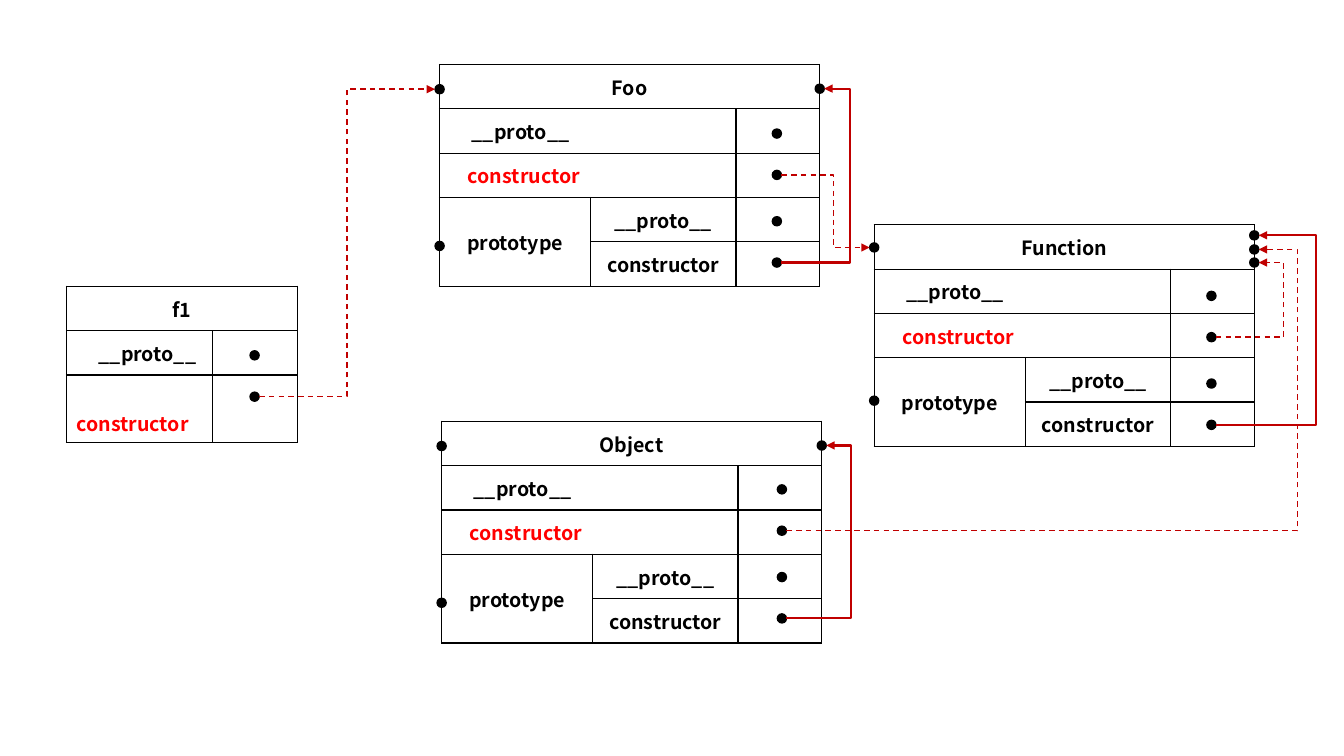
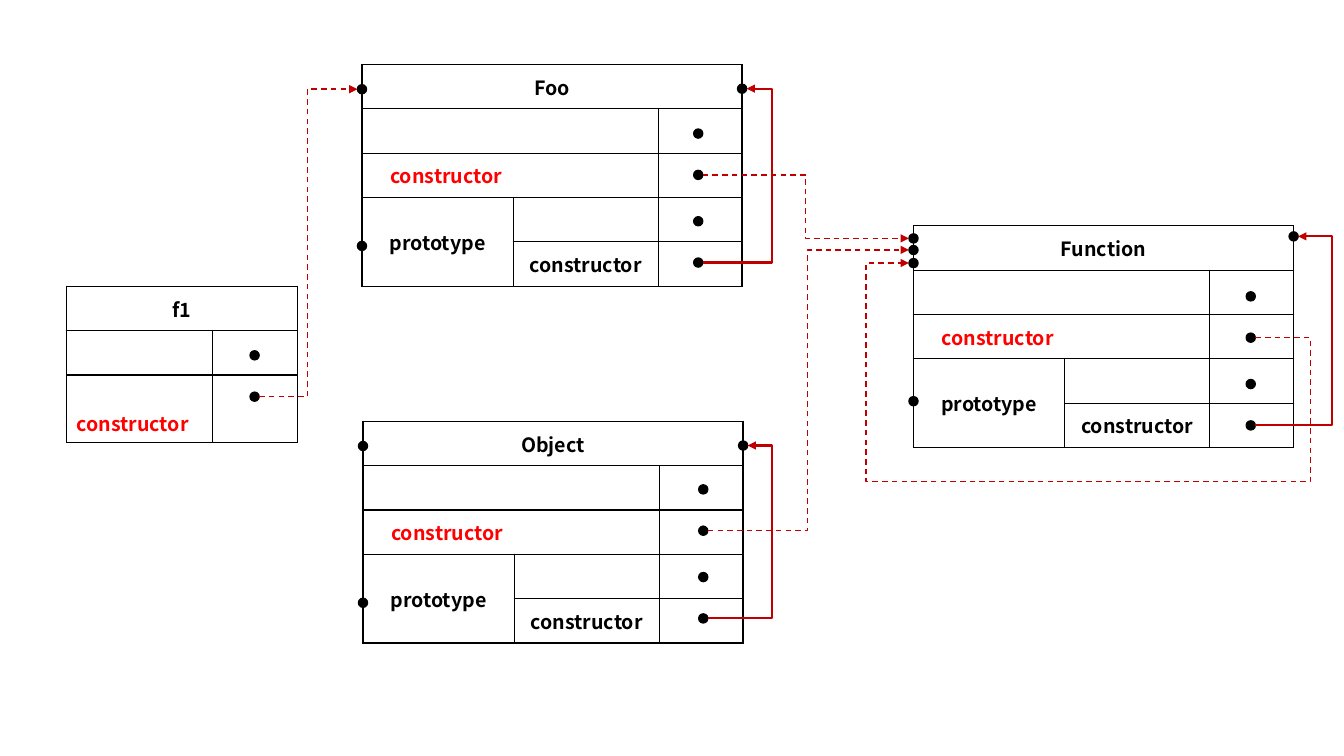
from dataclasses import dataclass

from lxml.etree import SubElement
from pptx import Presentation
from pptx.dml.color import RGBColor as RGB
from pptx.enum.dml import MSO_LINE_DASH_STYLE as DASH
from pptx.enum.shapes import MSO_CONNECTOR as CONN, MSO_SHAPE as SHAPE
from pptx.enum.text import MSO_ANCHOR as ANCHOR, PP_ALIGN as ALIGN
from pptx.oxml.ns import qn
from pptx.util import Inches, Pt

WIDTH, HEIGHT = 13.33, 7.5
ROW = 0.44
CLASS_COLS, CLASS_ROWS = (1.5, 1.44, 0.83), (ROW,) * 5
OBJECT_COLS, OBJECT_ROWS = (1.45, 0.84), (ROW, ROW, 0.67)
PIN_STEPS = (0, 0.41, 0.87, 1.28)
DOT = 0.09


@dataclass(frozen=True)
class Theme:
    """Colours, font and sizes of both slides."""
    font: str = "Noto Sans CJK SC"
    size: int = 14
    ink: str = "000000"
    key: str = "FF0000"
    wire: str = "C00000"
    border: float = 1
    solid: float = 1.5
    dashed: float = 1


T = Theme()
HEAD = {"align": ALIGN.CENTER}
PROTO = {"indent": 0.32}
KEY = {"indent": 0.28, "color": T.key}
LOW_KEY = {"color": T.key, "anchor": ANCHOR.BOTTOM}


@dataclass(frozen=True)
class Node:
    """A class table with its dots; offsets are from its top left corner."""
    name: str
    left: float
    top: float
    pin_x: float = 3.345
    pin_y: float = 0.685
    prototype: float = 1.8
    ports_left: tuple = (0.245,)
    ports_right: tuple = (0.24,)

    def pin(self, i):
        """Centre of the dot in the value column."""
        return self.left + self.pin_x, self.top + self.pin_y + PIN_STEPS[i]

    def port_left(self, i=0):
        """Centre of a title dot on the left edge."""
        return self.left, self.top + self.ports_left[i]

    def port_right(self, i=0):
        """Centre of a title dot on the right edge."""
        return self.left + sum(CLASS_COLS), self.top + self.ports_right[i]

    def dots(self):
        """Centres of all dots."""
        return ([self.pin(i) for i in range(len(PIN_STEPS))]
                + [self.port_left(i) for i in range(len(self.ports_left))]
                + [self.port_right(i) for i in range(len(self.ports_right))]
                + [(self.left, self.top + self.prototype)])


def apply(obj, values):
    """Set attributes from a dict."""
    for name, value in values.items():
        setattr(obj, name, value)


def border_cell(cell):
    """Draw the four borders of a cell and leave it unfilled."""
    tc_pr = cell._tc.get_or_add_tcPr()
    for side in ("a:lnL", "a:lnR", "a:lnT", "a:lnB"):
        ln = SubElement(tc_pr, qn(side), w=str(Pt(T.border)))
        fill = SubElement(ln, qn("a:solidFill"))
        SubElement(fill, qn("a:srgbClr"), val=T.ink)
    cell.fill.background()


def write_cell(cell, text, align=ALIGN.LEFT, indent=0.1, color=T.ink,
               anchor=ANCHOR.MIDDLE):
    """Write one bold label in a cell."""
    apply(cell, {"vertical_anchor": anchor, "margin_left": Inches(indent)})
    if text:
        p = cell.text_frame.paragraphs[0]
        p.alignment = align
        r = p.add_run()
        r.text = text
        apply(r.font, {"name": T.font, "size": Pt(T.size), "bold": True})
        r.font.color.rgb = RGB.from_string(color)


def add_grid(s, left, top, cols, rows, labels):
    """Add a ruled table; labels are (row, col, row span, col span, text, style)."""
    tbl = s.shapes.add_table(len(rows), len(cols), Inches(left), Inches(top),
                             Inches(sum(cols)), Inches(sum(rows))).table
    apply(tbl, {"first_row": False, "horz_banding": False})
    for col, width in zip(tbl.columns, cols):
        col.width = Inches(width)
    for row, height in zip(tbl.rows, rows):
        row.height = Inches(height)
    for cell in tbl.iter_cells():
        border_cell(cell)
    for r, c, r_span, c_span, text, style in labels:
        cell = tbl.cell(r, c)
        if r_span * c_span > 1:
            cell.merge(tbl.cell(r + r_span - 1, c + c_span - 1))
        write_cell(cell, text, **style)


def add_dot(s, center):
    """Add a round dot around a centre."""
    x, y = center
    sp = s.shapes.add_shape(SHAPE.OVAL, Inches(x - DOT / 2), Inches(y - DOT / 2),
                            Inches(DOT), Inches(DOT))
    sp.shadow.inherit = False
    sp.fill.solid()
    sp.fill.fore_color.rgb = sp.line.color.rgb = RGB.from_string(T.ink)
    sp.line.width = Pt(T.border)


def add_wire(s, start, end, bends, dashed=True, from_left=True):
    """Add an elbow arrow between dots; bends alternate x, y, x."""
    (x1, y1), (x2, y2) = start, end
    x1 += DOT / 2
    x2 += -DOT / 2 if from_left else DOT / 2
    sp = s.shapes.add_connector(CONN.ELBOW, *map(Inches, (x1, y1, x2, y2)))
    sp.line.color.rgb = RGB.from_string(T.wire)
    sp.line.width = Pt(T.dashed if dashed else T.solid)
    if dashed:
        sp.line.dash_style = DASH.DASH
    sp_pr = sp._element.spPr
    SubElement(sp_pr.find(qn("a:ln")), qn("a:tailEnd"), type="triangle")
    SubElement(sp_pr, qn("a:effectLst"))
    geom = sp_pr.find(qn("a:prstGeom"))
    geom.set("prst", f"bentConnector{len(bends) + 2}")
    guides = geom.find(qn("a:avLst"))
    if guides is None:
        guides = SubElement(geom, qn("a:avLst"))
    for i, bend in enumerate(bends):
        a, b = (y1, y2) if i % 2 else (x1, x2)
        share = round((bend - a) / (b - a) * 100000)
        SubElement(guides, qn("a:gd"), name=f"adj{i + 1}", fmla=f"val {share}")


def add_class(s, node, proto):
    """Add the table and dots of a constructor function."""
    add_grid(s, node.left, node.top, CLASS_COLS, CLASS_ROWS, [
        (0, 0, 1, 3, node.name, HEAD),
        (1, 0, 1, 2, proto, PROTO),
        (2, 0, 1, 2, "constructor", KEY),
        (3, 0, 2, 1, "prototype", HEAD),
        (3, 1, 1, 1, proto, HEAD),
        (4, 1, 1, 1, "constructor", HEAD)])
    for center in node.dots():
        add_dot(s, center)


def add_instance(s, node, proto):
    """Add the table and dots of an instance."""
    add_grid(s, node.left, node.top, OBJECT_COLS, OBJECT_ROWS, [
        (0, 0, 1, 2, node.name, HEAD),
        (1, 0, 1, 1, proto, PROTO),
        (2, 0, 1, 1, "constructor", LOW_KEY)])
    for i in range(2):
        add_dot(s, node.pin(i))


def add_diagram(prs, foo, function, obj, f1_bend, function_bend, proto=""):
    """Add a slide with the tables and the wires common to both slides."""
    s = prs.slides.add_slide(prs.slide_layouts[6])
    f1 = Node("f1", 0.66, 2.84, pin_x=1.865)
    for node in (foo, function, obj):
        add_class(s, node, proto)
    add_instance(s, f1, proto)
    add_wire(s, f1.pin(1), foo.port_left(), [f1_bend])
    for node, bend in ((foo, foo.left + 4.07), (obj, obj.left + 4.06),
                       (function, function_bend)):
        add_wire(s, node.pin(3), node.port_right(), [bend],
                 dashed=False, from_left=False)
    return s


def add_proto_slide(prs):
    """Slide with the __proto__ labels; wires reach Function on its right."""
    foo = Node("Foo", 4.36, 0.64)
    function = Node("Function", 8.67, 2.23, pin_y=0.705, prototype=1.745,
                    ports_left=(0.225,), ports_right=(0.105, 0.245, 0.375))
    obj = Node("Object", 4.38, 4.18, pin_x=3.375, pin_y=0.675)
    s = add_diagram(prs, foo, function, obj, 3.44, 13.05, "__proto__")
    add_wire(s, foo.pin(1), function.port_left(), [8.27])
    add_wire(s, obj.pin(1), function.port_right(1), [12.87], from_left=False)
    add_wire(s, function.pin(1), function.port_right(2), [12.73], from_left=False)


def add_constructor_slide(prs):
    """Slide with constructors only; wires reach Function on its left."""
    foo = Node("Foo", 3.59, 0.64, pin_x=3.335)
    function = Node("Function", 9.06, 2.24, pin_y=0.7, prototype=1.74,
                    ports_left=(0.125, 0.24, 0.37), ports_right=(0.105,))
    obj = Node("Object", 3.6, 4.18, pin_x=3.375, pin_y=0.675)
    s = add_diagram(prs, foo, function, obj, 3.05, 13.21)
    add_wire(s, foo.pin(1), function.port_left(0), [7.99])
    add_wire(s, obj.pin(1), function.port_left(1), [8.01])
    add_wire(s, function.pin(1), function.port_left(2), [13, 4.78, 8.59])


def main():
    """Build and save the presentation."""
    prs = Presentation()
    apply(prs, {"slide_width": Inches(WIDTH), "slide_height": Inches(HEIGHT)})
    add_proto_slide(prs)
    add_constructor_slide(prs)
    prs.save("out.pptx")


main()
